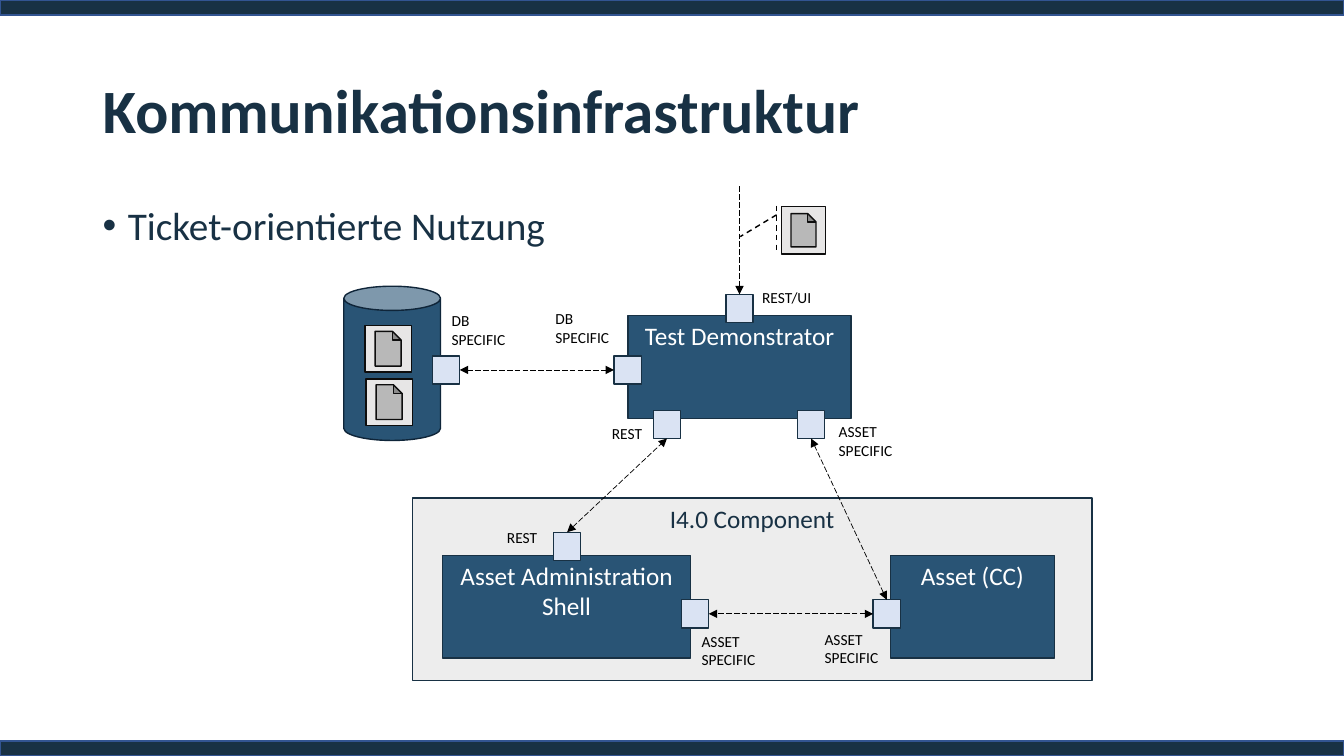
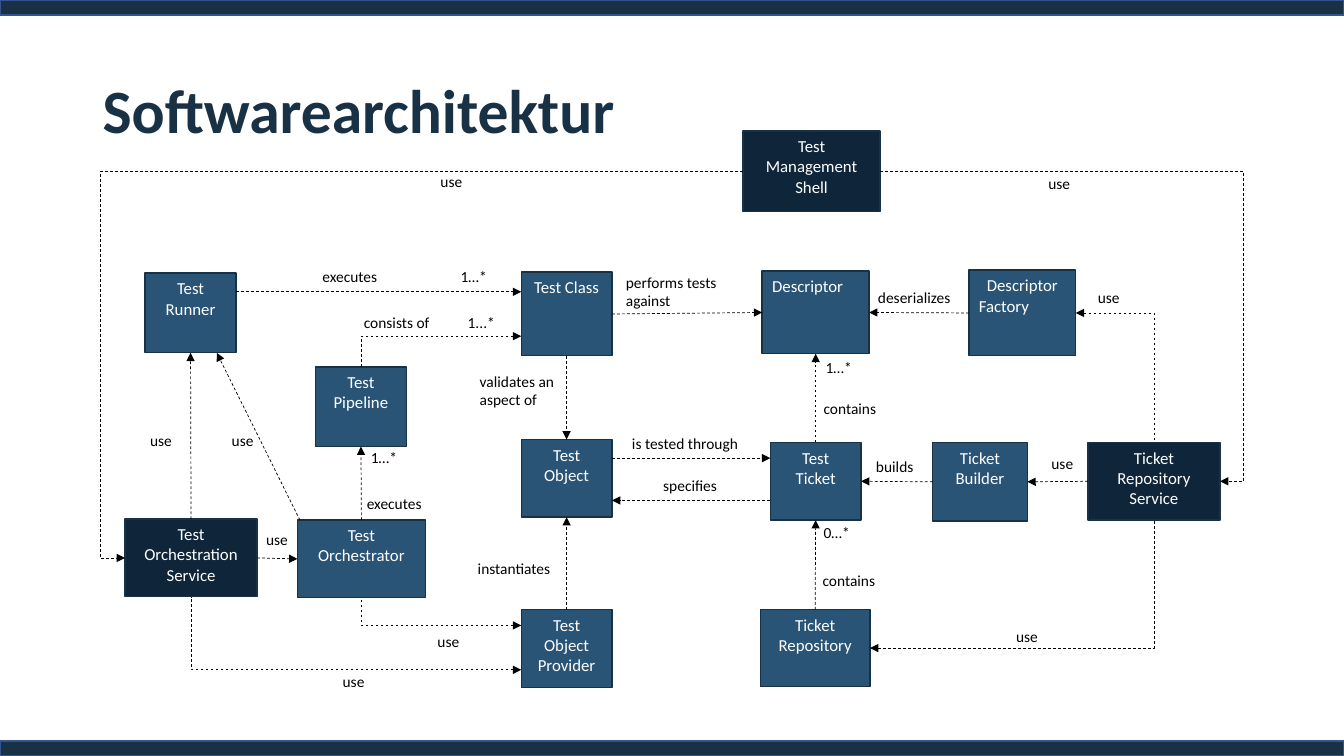
import pptx
import pptx.util
import pptx.dml.color
import pptx.enum.dml
import pptx.enum.shapes
import pptx.enum.text
import pptx.oxml.ns
import lxml.etree

SHAPE = pptx.enum.shapes.MSO_SHAPE
DASH = pptx.enum.dml.MSO_LINE
ALIGN = pptx.enum.text.PP_ALIGN
ANCHOR = pptx.enum.text.MSO_ANCHOR

EMU_PER_PX = 9144
WIDTH, HEIGHT, BAND = 1333, 750, 15
FONT = "Calibri"
NAVY, BLUE, DARK = "183144", "295475", "0F2539"
BAND_EDGE, PORT_FILL, PANEL, PAPER = "325491", "DAE3F3", "EDEDED", "E7E6E6"
WHITE, BLACK, INK = "FFFFFF", "000000", "0D0D0D"

DATABASE = (341, 284, 96, 153)
BLOCKS = [
    ("I4.0 Component", (409, 494, 674, 181), PANEL, NAVY),
    ("Test Demonstrator", (623, 313, 221, 102), BLUE, WHITE),
    ("Asset Administration Shell", (439, 551, 246, 102), BLUE, WHITE),
    ("Asset (CC)", (883, 551, 163, 102), BLUE, WHITE),
]
PORT_SIZE = (27, 28)
PORTS = {
    "database": (429, 353),
    "demonstrator db": (609, 353),
    "demonstrator rest": (648, 407),
    "demonstrator ui": (720, 292),
    "demonstrator asset": (791, 407),
    "shell asset": (676, 595),
    "shell rest": (549, 528),
    "asset": (866, 595),
}
PORT_LINKS = [
    ("database", "right", "demonstrator db", "left"),
    ("shell rest", "top", "demonstrator rest", "bottom"),
    ("asset", "top", "demonstrator asset", "bottom"),
    ("asset", "left", "shell asset", "right"),
]
PORT_LABELS = [
    ("DB SPECIFIC", 438, 304, 79),
    ("DB SPECIFIC", 541, 302, 79),
    ("REST", 597, 416, 56),
    ("REST/UI", 746, 281, 76),
    ("ASSET SPECIFIC", 822, 414, 76),
    ("REST", 493, 519, 56),
    ("ASSET SPECIFIC", 808, 620, 76),
    ("ASSET SPECIFIC", 686, 622, 76),
]
TICKET_CALLOUT = (775, 204, 60, 48)
CALLOUT_POINTS = (0.19, -0.08, 0.64, -0.68)
TICKETS = [(775, 205, 44, 47), (363, 376, 46, 46), (362, 323, 46, 46)]

CLASSES = {
    "Test Management Shell": (737, 130, 136, 80),
    "Test Orchestrator": (295, 516, 127, 77),
    "Test Orchestration Service": (124, 515, 131, 77),
    "Ticket Repository Service": (1079, 439, 131, 77),
    "Test Runner": (144, 271, 90, 79),
    "Test Object Provider": (517, 605, 90, 77),
    "Test Pipeline": (313, 364, 90, 79),
    "Test Class": (517, 270, 90, 83),
    "Test Object": (517, 436, 90, 77),
    "Descriptor Factory": (961, 268, 106, 85),
    "Ticket Builder": (925, 439, 94, 78),
    "Ticket Repository": (754, 605, 109, 76),
    "Test Ticket": (764, 439, 90, 77),
    "Descriptor": (756, 269, 106, 82),
}
SERVICES = {"Test Management Shell", "Test Orchestration Service", "Ticket Repository Service"}
CLASS_LINES = {
    "Test Orchestrator": [("Test", ALIGN.CENTER), ("Orchestrator", ALIGN.CENTER)],
    "Descriptor Factory": [("Descriptor", ALIGN.CENTER), ("Factory", ALIGN.LEFT)],
    "Descriptor": [("Descriptor", ALIGN.LEFT)],
}
STRAIGHT, CORNER = "line", "bentConnector2"
RELATIONS = [
    ("Test Orchestration Service", "right", 0, "Test Orchestrator", "left", 0, STRAIGHT),
    ("Test Management Shell", "left", 0, "Test Orchestration Service", "left", 0, 1.04),
    ("Test Management Shell", "right", 0, "Ticket Repository Service", "right", 0, 1.07),
    ("Test Orchestration Service", "top", 0, "Test Runner", "bottom", 0, STRAIGHT),
    ("Test Orchestration Service", "bottom", 0, "Test Object Provider", "left", 21, CORNER),
    ("Test Orchestrator", "top", -61, "Test Runner", "bottom", 26, STRAIGHT),
    ("Test Orchestrator", "bottom", 0, "Test Object Provider", "left", -23, CORNER),
    ("Test Orchestrator", "top", 0, "Test Pipeline", "bottom", 0, STRAIGHT),
    ("Test Runner", "right", -21, "Test Class", "left", -22, STRAIGHT),
    ("Test Pipeline", "top", 0, "Test Class", "left", 22, CORNER),
    ("Test Class", "bottom", 0, "Test Object", "top", 0, STRAIGHT),
    ("Test Object Provider", "top", 0, "Test Object", "bottom", 0, STRAIGHT),
    ("Ticket Repository Service", "top", 0, "Descriptor Factory", "right", 0, CORNER),
    ("Ticket Repository Service", "left", 0, "Ticket Builder", "right", 0, STRAIGHT),
    ("Ticket Repository Service", "bottom", 0, "Ticket Repository", "right", 0, CORNER),
    ("Ticket Repository", "top", 0, "Test Ticket", "bottom", 0, STRAIGHT),
    ("Ticket Builder", "left", 0, "Test Ticket", "right", 0, STRAIGHT),
    ("Test Ticket", "top", 0, "Descriptor", "bottom", 0, STRAIGHT),
    ("Descriptor Factory", "left", 0, "Descriptor", "right", 0, STRAIGHT),
    ("Test Class", "right", 0, "Descriptor", "left", 0, STRAIGHT),
    ("Test Object", "right", -20, "Test Ticket", "left", -23, STRAIGHT),
    ("Test Ticket", "left", 19, "Test Object", "right", 22, STRAIGHT),
]
RELATION_LABELS = [
    ("use", 254, 521, 48), ("use", 427, 166, 48), ("use", 1030, 168, 73),
    ("use", 139, 423, 52), ("use", 330, 662, 62), ("use", 220, 423, 48),
    ("use", 424, 622, 82), ("executes", 354, 485, 87), ("1…*", 358, 440, 87),
    ("executes", 310, 260, 87), ("1…*", 447, 260, 60),
    ("consists of", 351, 306, 95), ("1...*", 454, 306, 60),
    ("validates an aspect of", 466, 364, 107), ("instantiates", 464, 550, 106),
    ("use", 1079, 281, 73), ("use", 1033, 446, 73), ("use", 998, 617, 73),
    ("contains", 806, 562, 86), ("0…*", 807, 514, 54), ("builds", 859, 449, 86),
    ("contains", 807, 391, 86), ("1…*", 809, 350, 55),
    ("deserializes", 861, 281, 94), ("performs tests against", 611, 266, 134),
    ("is tested through", 617, 426, 140), ("specifies", 648, 467, 86),
]

SIDES = ["top", "left", "bottom", "right"]


def px(length):
    return pptx.util.Emu(round(length * EMU_PER_PX))


def color(value):
    return pptx.dml.color.RGBColor.from_string(value)


def add_xml(parent, tag, **attributes):
    return lxml.etree.SubElement(parent, pptx.oxml.ns.qn(tag), **attributes)


def style(paragraph, size, ink, bold=False, align=ALIGN.LEFT):
    paragraph.alignment = align
    for run in paragraph.runs:
        run.font.name = FONT
        run.font.size = pptx.util.Pt(size)
        run.font.bold = bold
        run.font.color.rgb = color(ink)


def add_figure(slide, kind, box, fill, edge=NAVY):
    figure = slide.shapes.add_shape(kind, *map(px, box))
    figure.shadow.inherit = False
    figure.fill.solid()
    figure.fill.fore_color.rgb = color(fill)
    figure.line.color.rgb = color(edge)
    figure.line.width = pptx.util.Pt(1)
    return figure


def add_block(slide, lines, box, fill, ink, size):
    block = add_figure(slide, SHAPE.RECTANGLE, box, fill)
    frame = block.text_frame
    frame.word_wrap = True
    frame.vertical_anchor = ANCHOR.TOP
    frame.text = "\n".join(text for text, _ in lines)
    for paragraph, (_, align) in zip(frame.paragraphs, lines):
        style(paragraph, size, ink, align=align)
    return block


def add_text(slide, text, box, size, ink, bold=False):
    frame = slide.shapes.add_textbox(*map(px, box)).text_frame
    frame.word_wrap = True
    frame.text = text
    style(frame.paragraphs[0], size, ink, bold)
    return frame


def add_labels(slide, labels):
    for text, left, top, width in labels:
        add_text(slide, text, (left, top, width, 30), 11, BLACK)


def anchor(shape, side, shift=0):
    x, y = shape.left + shape.width // 2, shape.top + shape.height // 2
    return {
        "top": (x + px(shift), shape.top),
        "bottom": (x + px(shift), shape.top + shape.height),
        "left": (shape.left, y + px(shift)),
        "right": (shape.left + shape.width, y + px(shift)),
    }[side]


def add_link(slide, start, end, dash, arrows, route=STRAIGHT):
    types = pptx.enum.shapes.MSO_CONNECTOR
    kind = types.STRAIGHT if route == STRAIGHT else types.ELBOW
    link = slide.shapes.add_connector(kind, *start, *end)
    link.line.color.rgb = color(BLACK)
    link.line.width = pptx.util.Pt(0.5)
    link.line.dash_style = dash
    properties = link._element.spPr
    outline = properties.find(pptx.oxml.ns.qn("a:ln"))
    for arrow in arrows:
        add_xml(outline, arrow, type="triangle")
    add_xml(properties, "a:effectLst")
    geometry = properties.find(pptx.oxml.ns.qn("a:prstGeom"))
    if route == CORNER:
        geometry.set("prst", CORNER)
    elif route != STRAIGHT:
        guides = geometry.find(pptx.oxml.ns.qn("a:avLst"))
        if guides is None:
            guides = add_xml(geometry, "a:avLst")
        add_xml(guides, "a:gd", name="adj1", fmla=f"val {round(route * 100000)}")
    return link


def new_slide(deck, title):
    slide = deck.slides.add_slide(deck.slide_layouts[6])
    for top in (HEIGHT - BAND, 0):
        add_figure(slide, SHAPE.RECTANGLE, (0, top, WIDTH, BAND), NAVY, BAND_EDGE)
    frame = add_text(slide, title, (92, 40, 1150, 145), 44, NAVY, bold=True)
    frame.vertical_anchor = ANCHOR.MIDDLE
    frame.paragraphs[0].line_spacing = 0.9
    return slide


def build_infrastructure(deck):
    slide = new_slide(deck, "Kommunikationsinfrastruktur")
    add_figure(slide, SHAPE.CAN, DATABASE, BLUE, DARK)
    usage = add_text(slide, "Ticket-orientierte Nutzung", (92, 200, 500, 60), 28, NAVY).paragraphs[0]
    usage.line_spacing = 0.9
    layout = usage._p.get_or_add_pPr()
    layout.set("marL", str(px(25)))
    layout.set("indent", str(px(-25)))
    add_xml(layout, "a:buFont", typeface="Arial")
    add_xml(layout, "a:buChar", char="•")

    for name, box, fill, ink in BLOCKS:
        add_block(slide, [(name, ALIGN.CENTER)], box, fill, ink, 18)
    ports = {
        name: add_figure(slide, SHAPE.RECTANGLE, corner + PORT_SIZE, PORT_FILL)
        for name, corner in PORTS.items()
    }
    for source, source_side, target, target_side in PORT_LINKS:
        link = add_link(slide, anchor(ports[source], source_side), anchor(ports[target], target_side),
                        DASH.LONG_DASH, ["a:headEnd", "a:tailEnd"])
        link.begin_connect(ports[source], SIDES.index(source_side))
        link.end_connect(ports[target], SIDES.index(target_side))
    entry = anchor(ports["demonstrator ui"], "top")
    add_link(slide, (entry[0], px(185)), entry, DASH.LONG_DASH, ["a:tailEnd"])
    add_labels(slide, PORT_LABELS)

    callout = add_figure(slide, SHAPE.LINE_CALLOUT_1_ACCENT_BAR, TICKET_CALLOUT, WHITE, BLACK)
    callout.line.dash_style = DASH.DASH
    for index, value in enumerate(CALLOUT_POINTS):
        callout.adjustments[index] = value
    for box in TICKETS:
        add_figure(slide, SHAPE.ACTION_BUTTON_DOCUMENT, box, PAPER, INK)


def build_architecture(deck):
    slide = new_slide(deck, "Softwarearchitektur")
    classes = {}
    for name, box in CLASSES.items():
        lines = CLASS_LINES.get(name, [(name, ALIGN.CENTER)])
        fill = DARK if name in SERVICES else BLUE
        classes[name] = add_block(slide, lines, box, fill, WHITE, 12)
    for source, source_side, source_shift, target, target_side, target_shift, route in RELATIONS:
        ends = [(classes[source], source_side, source_shift), (classes[target], target_side, target_shift)]
        arrow = "a:tailEnd"
        if route == CORNER:
            ends.reverse()
            arrow = "a:headEnd"
        link = add_link(slide, anchor(*ends[0]), anchor(*ends[1]), DASH.DASH, [arrow], route)
        for connect, (shape, side, shift) in zip((link.begin_connect, link.end_connect), ends):
            if shift == 0:
                connect(shape, SIDES.index(side))
    add_labels(slide, RELATION_LABELS)


def main():
    deck = pptx.Presentation()
    deck.slide_width, deck.slide_height = px(WIDTH), px(HEIGHT)
    build_infrastructure(deck)
    build_architecture(deck)
    deck.save("out.pptx")


if __name__ == "__main__":
    main()
